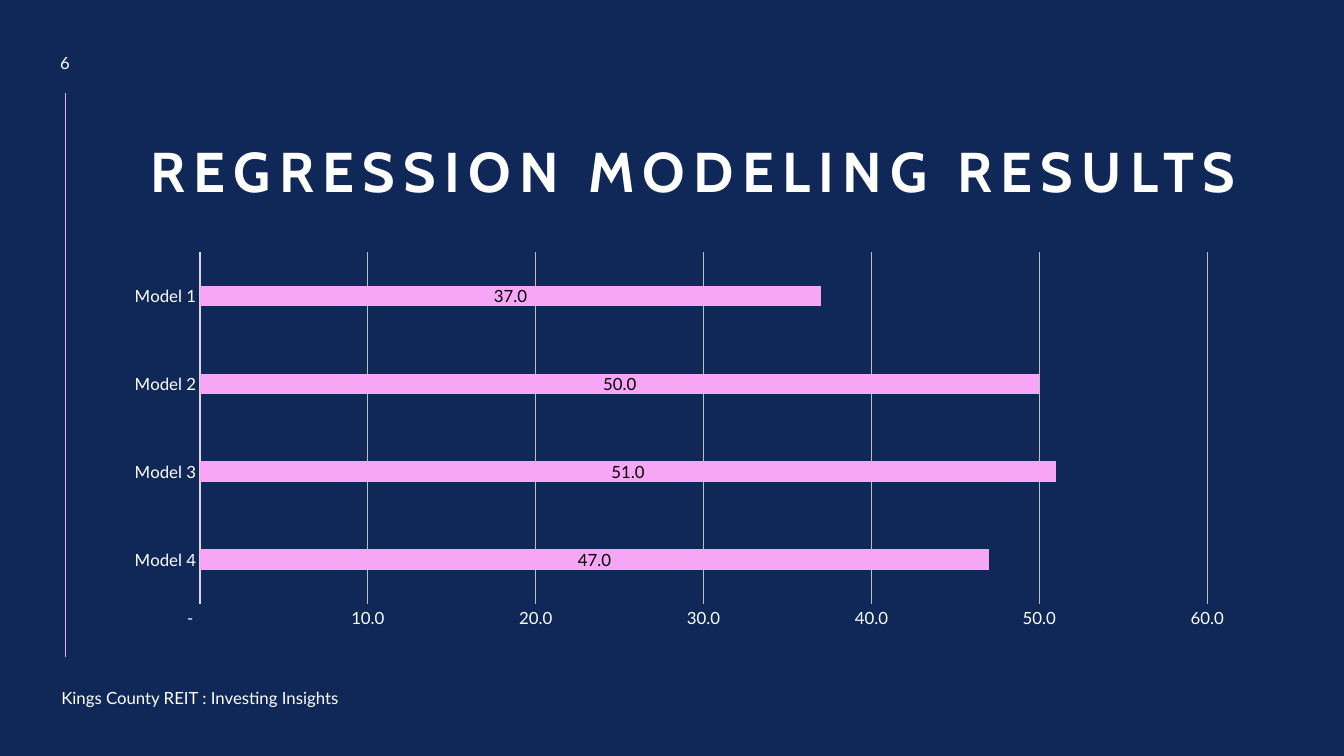
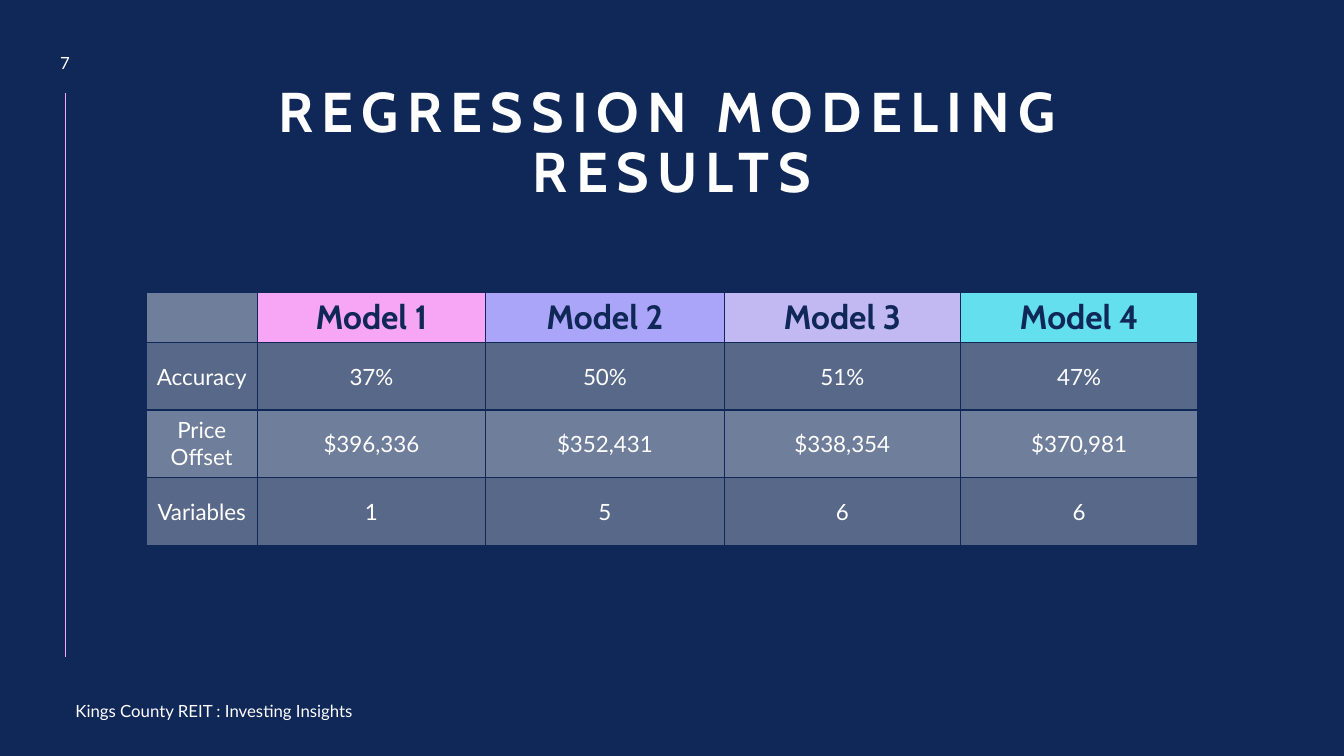
from dataclasses import dataclass

from lxml.etree import SubElement
from pptx import Presentation
from pptx.chart.data import CategoryChartData
from pptx.dml.color import RGBColor as Rgb
from pptx.enum.chart import XL_CHART_TYPE as ChartType
from pptx.enum.chart import XL_LABEL_POSITION as LabelPos
from pptx.enum.chart import XL_TICK_MARK as Tick
from pptx.enum.shapes import MSO_CONNECTOR as Connector
from pptx.enum.text import MSO_ANCHOR as Anchor
from pptx.enum.text import PP_ALIGN as Align
from pptx.oxml import parse_xml
from pptx.oxml.ns import nsdecls, qn
from pptx.util import Inches, Pt


@dataclass(frozen=True)
class Theme:
    navy: str = "102857"
    white: str = "FFFFFF"
    black: str = "000000"
    pink: str = "F6A6F4"
    axis: str = "D9D9D9"
    gridline: str = "BFBFBF"
    models: tuple = ("F6A6F4", "AAA5F9", "C3B9F2", "64DFED")
    series: tuple = ("F6A6F4", "C3B9F2", "64DFED")
    bands: tuple = (40, 30)  # opacity of even and odd table rows, in percent
    heading: str = "Cabin"
    body: str = "Lato"
    title_size: int = 40
    header_size: int = 24
    cell_size: int = 16
    small_size: int = 12
    title_tracking: int = 600  # hundredths of a point


THEME = Theme()
COLUMNS, ROWS = 80, 45  # square grid over the whole slide
FOOTER = "Kings County REIT : Investing Insights"
NUMBER_FORMAT = r'_(* #,##0.0_);_(* \(#,##0.0\);_(* "-"??_);_(@_)'


class Deck:
    """Holds the style and the slide being built; lengths are grid units."""

    def __init__(self, theme):
        self.theme = theme
        self.prs = Presentation()
        self.prs.slide_width, self.prs.slide_height = Inches(13.33), Inches(7.5)
        self.slide = None

    def x(self, columns):
        return round(self.prs.slide_width * columns / COLUMNS)

    def y(self, rows):
        return round(self.prs.slide_height * rows / ROWS)

    def box(self, left, top, width, height):
        return self.x(left), self.y(top), self.x(width), self.y(height)

    def style(self, font, size, color, name=None, bold=False):
        font.name = name or self.theme.body
        font.size, font.bold = Pt(size), bold
        font.color.rgb = Rgb.from_string(color)

    def new_slide(self, number, footer_at):
        self.slide = self.prs.slides.add_slide(self.prs.slide_layouts[6])
        background = self.slide.background.fill
        background.solid()
        background.fore_color.rgb = Rgb.from_string(self.theme.navy)
        self.rail()
        self.text(str(number), (2.16, 2.7, 3.42, 2.04), align=Align.CENTER)
        self.text(FOOTER, (*footer_at, 18.78, 1.8))

    def rail(self):
        rail = self.slide.shapes.add_connector(
            Connector.STRAIGHT, self.x(3.9), self.y(5.56), self.x(3.9), self.y(39.12))
        rail.line.color.rgb = Rgb.from_string(self.theme.pink)
        rail.line.width = Pt(0.5)
        SubElement(rail._element.spPr, qn("a:effectLst"))

    def text(self, words, area, align=Align.LEFT, anchor=Anchor.MIDDLE):
        frame = self.slide.shapes.add_textbox(*self.box(*area)).text_frame
        frame.word_wrap = True
        frame.vertical_anchor = anchor
        paragraph = frame.paragraphs[0]
        paragraph.text, paragraph.alignment = words, align
        self.style(paragraph.font, self.theme.small_size, self.theme.white)
        return paragraph

    def title(self, words, left, width):
        heading = self.text(words, (left, 5.46, width, 7.02), Align.CENTER, Anchor.BOTTOM)
        heading.line_spacing = 0.9
        self.style(heading.font, self.theme.title_size, self.theme.white,
                   self.theme.heading, bold=True)
        heading.runs[0]._r.get_or_add_rPr().set("spc", str(self.theme.title_tracking))

    def bar_chart(self, area, names, values):
        theme = self.theme
        data = CategoryChartData()
        data.categories = names
        blank = [None] * len(names)
        for number, scores in enumerate((values, blank, blank), start=1):
            data.add_series(f"Series {number}", scores)
        chart = self.slide.shapes.add_chart(
            ChartType.BAR_STACKED, *self.box(*area), data).chart
        chart.has_legend = chart.has_title = False
        self.style(chart.font, theme.small_size, theme.white)

        # Axes
        model_axis, score_axis = chart.category_axis, chart.value_axis
        for axis in (model_axis, score_axis):
            axis.major_tick_mark = axis.minor_tick_mark = Tick.NONE
            self.style(axis.tick_labels.font, theme.small_size, theme.white)
        model_axis.format.line.color.rgb = Rgb.from_string(theme.axis)
        model_axis.format.line.width = Pt(1.5)
        score_axis.minimum_scale, score_axis.maximum_scale = 0, 60
        score_axis.major_unit = 10
        score_axis.format.line.fill.background()
        gridline = score_axis.major_gridlines.format.line
        gridline.color.rgb = Rgb.from_string(theme.gridline)
        gridline.width = Pt(0.75)

        # Bars and their labels
        plot = chart.plots[0]
        plot.gap_width, plot.overlap, plot.vary_by_categories = 326, 100, False
        for bars, color in zip(plot.series, theme.series):
            bars.format.fill.solid()
            bars.format.fill.fore_color.rgb = Rgb.from_string(color)
        labels = plot.series[0].data_labels
        labels.show_value, labels.position = True, LabelPos.CENTER
        self.style(labels.font, theme.small_size, theme.black)
        for numbers in (score_axis.tick_labels, labels):
            numbers.number_format = NUMBER_FORMAT
            numbers.number_format_is_linked = False

    def table(self, left, top, widths, heights, rows):
        table = self.slide.shapes.add_table(
            len(rows), len(widths),
            *self.box(left, top, sum(widths), sum(heights))).table
        for column, width in zip(table.columns, widths):
            column.width = self.x(width)
        for row, height in zip(table.rows, heights):
            row.height = self.y(height)
        for r, words in enumerate(rows):
            for c, word in enumerate(words):
                self.cell(table.cell(r, c), word, r, c)

    def cell(self, cell, word, row, column):
        theme = self.theme
        cell.vertical_anchor = Anchor.MIDDLE
        paragraph = cell.text_frame.paragraphs[0]
        paragraph.text, paragraph.alignment = word, Align.CENTER
        is_model = row == 0 and column > 0
        cell.fill.solid()
        if is_model:
            self.style(paragraph.font, theme.header_size, theme.navy, theme.heading, bold=True)
            cell.fill.fore_color.rgb = Rgb.from_string(theme.models[column - 1])
        else:
            self.style(paragraph.font, theme.cell_size, theme.white)
            cell.fill.fore_color.rgb = Rgb.from_string(theme.white)
        properties = cell._tc.get_or_add_tcPr()
        if not is_model:
            color = properties.find(".//" + qn("a:srgbClr"))
            SubElement(color, qn("a:alpha"), val=str(theme.bands[row % 2] * 1000))
        for place, side in enumerate("LRTB"):
            properties.insert(place, parse_xml(
                f'<a:ln{side} {nsdecls("a")} w="{Pt(1)}"><a:solidFill>'
                f'<a:srgbClr val="{theme.navy}"/></a:solidFill></a:ln{side}>'))

    def save(self):
        self.prs.save("out.pptx")


def main():
    deck = Deck(THEME)
    heading = "REGRESSION MODELING RESULTS"
    models = [f"Model {n}" for n in range(1, 5)]
    accuracy = [37, 50, 51, 47]

    # Accuracy chart; bars stack upwards, so the last model comes first
    deck.new_slide(6, footer_at=(3.06, 40.62))
    deck.title(heading, 5.58, 71.4)
    deck.bar_chart((6.66, 14.54, 67.8, 23.28), models[::-1], accuracy[::-1])

    # Comparison table
    deck.new_slide(7, footer_at=(3.9, 41.4))
    deck.title(heading, 7.2, 65.6)
    deck.table(
        8.7, 17.4,
        widths=(6.62, 13.58, 14.22, 14.04, 14.16),
        heights=(3, 4, 4, 4.1),
        rows=[
            ["", *models],
            ["Accuracy", *(f"{share}%" for share in accuracy)],
            ["Price Offset", "$396,336", "$352,431", "$338,354", "$370,981"],
            ["Variables", "1", "5", "6", "6"],
        ])
    deck.save()


if __name__ == "__main__":
    main()
